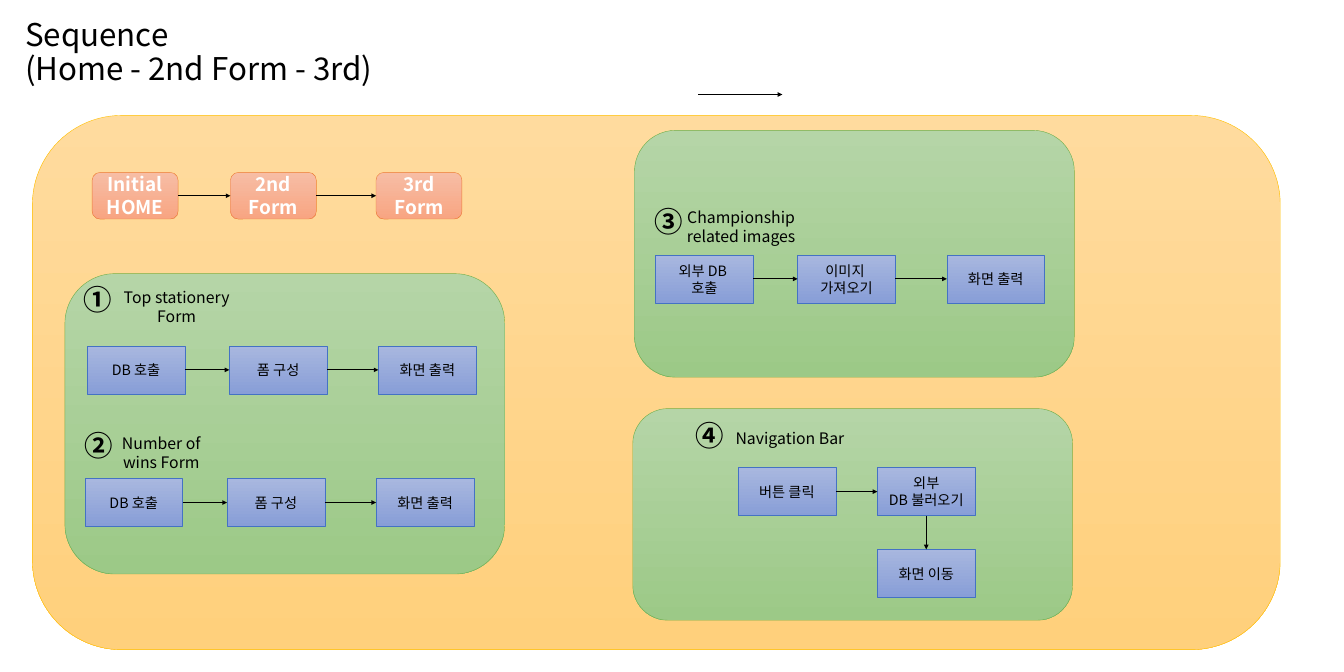
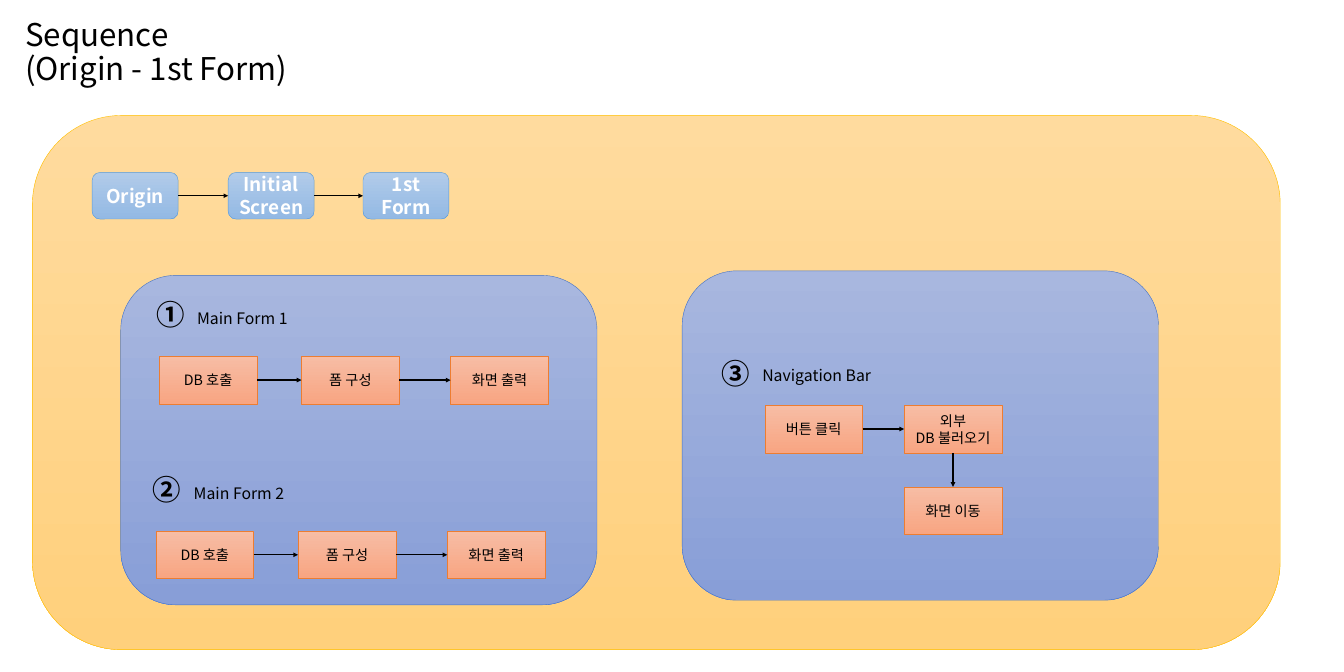
import dataclasses

import lxml.etree
import pptx
import pptx.dml.color
import pptx.enum.shapes
import pptx.enum.text
import pptx.oxml.ns
import pptx.util

SHAPES = pptx.enum.shapes.MSO_SHAPE
ALIGN = pptx.enum.text.PP_ALIGN
ANCHOR = pptx.enum.text.MSO_ANCHOR
TOP, LEFT, BOTTOM, RIGHT = range(4)

# The slide is divided into a grid of square cells
COLUMNS, ROWS = 100, 50
WIDTH, HEIGHT = pptx.util.Inches(23.62), pptx.util.Inches(11.81)


@dataclasses.dataclass(frozen=True)
class Theme:
    """Colours are (gradient top, gradient bottom, outline)."""
    font: str = "Noto Sans CJK KR"
    black: str = "000000"
    white: str = "FFFFFF"
    gold: tuple = ("FFDB9E", "FFD07C", "FFC000")
    orange: tuple = ("F7BDA5", "F8A582", "ED7D31")
    green: tuple = ("B5D5A7", "9CC987", "70AD47")
    indigo: tuple = ("A8B7DF", "889ED7", "4472C4")
    blue: tuple = ("B1CBE9", "93B9E4", "5B9BD5")
    title_size: float = 39.6
    marker_size: float = 36
    stage_size: float = 24
    caption_size: float = 20
    step_size: float = 18
    outline: float = 0.5
    arrow: float = 1.5


# Sizes in columns and rows
STAGE = (6.39, 3.47)
STEP = (7.28, 3.56)
MARKER = (4.06, 2.58)
CAPTION = (8.93, 3.26)
WIDE_CAPTION = (9.86, 1.86)

# Step offsets from the first step of a flow
ROW_FLOW = ((0, 0), (10.58, 0), (21.68, 0))
CORNER_FLOW = ((0, 0), (10.37, 0), (10.37, 6.08))


def rgb(value):
    return pptx.dml.color.RGBColor.from_string(value)


def assign(target, values):
    for name, value in values.items():
        setattr(target, name, value)


def add_xml(parent, tag, **attributes):
    return lxml.etree.SubElement(parent, pptx.oxml.ns.qn(tag), attributes)


class SequenceDeck:
    def __init__(self, theme):
        self.theme = theme
        self.slide = None
        self.presentation = pptx.Presentation()
        assign(self.presentation, {"slide_width": WIDTH, "slide_height": HEIGHT})

    def place(self, column, row, columns=0, rows=0):
        across, down = WIDTH / COLUMNS, HEIGHT / ROWS
        return [round(length) for length in
                (column * across, row * down, columns * across, rows * down)]

    def fill_text(self, shape, text, size, color, bold=False, align=ALIGN.CENTER,
                  frame_format=None, paragraph_format=None):
        frame = shape.text_frame
        assign(frame, {"word_wrap": True, **(frame_format or {})})
        frame.text = text
        for paragraph in frame.paragraphs:
            assign(paragraph, {"alignment": align, **(paragraph_format or {})})
            for run in paragraph.runs:
                assign(run.font, {"size": pptx.util.Pt(size), "bold": bold,
                                  "name": self.theme.font})
                run.font.color.rgb = rgb(color)
        # Hangul and circled numbers take the East Asian font
        for properties in shape.element.iter(pptx.oxml.ns.qn("a:rPr")):
            add_xml(properties, "a:ea", typeface=self.theme.font)

    # Title and the large backdrop shared by the slides
    def start_slide(self, title):
        self.slide = self.presentation.slides.add_slide(
            self.presentation.slide_layouts[5])
        shape = self.slide.shapes.title
        assign(shape, dict(zip(("left", "top", "width", "height"),
                               self.place(1.44, 0.93, 28.03, 6.05))))
        self.fill_text(shape, title, self.theme.title_size, self.theme.black,
                       align=ALIGN.LEFT,
                       frame_format={"vertical_anchor": ANCHOR.MIDDLE,
                                     "auto_size": pptx.enum.text.MSO_AUTO_SIZE.NONE},
                       paragraph_format={"line_spacing": 0.9})
        self.box((2.41, 8.59, 92.85, 39.75), self.theme.gold)

    def box(self, area, colors, rounded=True):
        kind = SHAPES.ROUNDED_RECTANGLE if rounded else SHAPES.RECTANGLE
        shape = self.slide.shapes.add_shape(kind, *self.place(*area))
        shape.shadow.inherit = False
        shape.fill.gradient()
        shape.fill.gradient_angle = 270
        for stop, color in zip(shape.fill.gradient_stops, colors):
            stop.color.rgb = rgb(color)
        shape.line.color.rgb = rgb(colors[2])
        shape.line.width = pptx.util.Pt(self.theme.outline)
        return shape

    def label(self, area, text, size, bold=False, align=ALIGN.CENTER, inset=True):
        shape = self.slide.shapes.add_textbox(*self.place(*area))
        margins = {} if inset else dict.fromkeys(
            ("margin_left", "margin_top", "margin_right", "margin_bottom"), 0)
        self.fill_text(shape, text, size, self.theme.black, bold, align, margins)

    def arrow(self, begin, end):
        points = self.place(*begin)[:2] + self.place(*end)[:2]
        connector = self.slide.shapes.add_connector(
            pptx.enum.shapes.MSO_CONNECTOR.STRAIGHT, *points)
        connector.line.color.rgb = rgb(self.theme.black)
        connector.line.width = pptx.util.Pt(self.theme.arrow)
        properties = connector.element.spPr
        add_xml(properties.find(pptx.oxml.ns.qn("a:ln")), "a:tailEnd", type="triangle")
        add_xml(properties, "a:effectLst")
        return connector

    def join(self, shapes):
        for first, second in zip(shapes, shapes[1:]):
            level = abs(first.top - second.top) < first.height
            sides = (RIGHT, LEFT) if level else (BOTTOM, TOP)
            connector = self.arrow((0, 0), (0, 0))
            connector.begin_connect(first, sides[0])
            connector.end_connect(second, sides[1])

    # Rounded stages along the top
    def stages(self, columns, texts, colors):
        shapes = []
        for column, text in zip(columns, texts):
            shape = self.box((column, 12.83, *STAGE), colors)
            self.fill_text(shape, text, self.theme.stage_size, self.theme.white, True,
                           frame_format={"vertical_anchor": ANCHOR.MIDDLE})
            shapes.append(shape)
        self.join(shapes)

    # Numbered heading above a chain of steps; each offset is from the item before
    def flow(self, origin, marker, marker_offset, caption, caption_offset, texts,
             colors, pattern=ROW_FLOW, caption_size=CAPTION):
        column, row = origin
        marker_column, marker_row = column + marker_offset[0], row + marker_offset[1]
        self.label((marker_column, marker_row, *MARKER), marker,
                   self.theme.marker_size, True, ALIGN.LEFT, inset=False)
        self.label((marker_column + caption_offset[0], marker_row + caption_offset[1],
                    *caption_size), caption, self.theme.caption_size)
        shapes = []
        for (across, down), text in zip(pattern, texts):
            shape = self.box((column + across, row + down, *STEP), colors, False)
            self.fill_text(shape, text, self.theme.step_size, self.theme.black,
                           frame_format={"vertical_anchor": ANCHOR.MIDDLE})
            shapes.append(shape)
        self.join(shapes)

    def navigation(self, origin, marker, colors):
        self.flow(origin, marker, (-3.18, -3.68), "Navigation Bar", (2.12, 0.57),
                  ("버튼 클릭", "외부\nDB 불러오기", "화면 이동"), colors,
                  CORNER_FLOW, WIDE_CAPTION)


def main():
    theme = Theme()
    deck = SequenceDeck(theme)
    form_steps = ("DB 호출", "폼 구성", "화면 출력")
    image_steps = ("외부 DB \n호출", "이미지 \n가져오기", "화면 출력")

    # Home to third form
    deck.start_slide("Sequence \v(Home - 2nd Form - 3rd)")
    deck.stages((6.86, 17.15, 27.98), ("Initial\nHOME", "2nd\nForm", "3rd\nForm"),
                theme.orange)
    deck.arrow((51.95, 7.03), (58.21, 7.03))
    for panel in ((4.83, 20.36, 32.73, 22.35), (47.21, 9.7, 32.73, 18.37),
                  (47.08, 30.4, 32.73, 15.75)):
        deck.box(panel, theme.green)
    for flow in (
        ((6.48, 25.74), "①", (-0.3, -4.74), "Top stationery\nForm", (2.5, 0.21),
         form_steps),
        ((6.31, 35.61), "②", (-0.04, -3.77), "Number of wins Form", (1.27, 0.21),
         form_steps),
        ((48.77, 18.97), "③", (-0.08, -3.77), "Championship related images",
         (1.99, 0.04), image_steps),
    ):
        deck.flow(*flow, theme.indigo)
    deck.navigation((54.91, 34.8), "④", theme.indigo)

    # Origin to first form
    deck.start_slide("Sequence \v(Origin - 1st Form)")
    deck.stages((6.86, 16.98, 27.01), ("Origin", "Initial\nScreen", "1st\nForm"),
                theme.blue)
    for column, row in ((50.76, 20.15), (8.98, 20.49)):
        deck.box((column, row, 35.44, 24.51), theme.indigo)
    for origin, marker, caption in (((11.85, 26.5), "①", "Main Form 1"),
                                    ((11.6, 39.5), "②", "Main Form 2")):
        deck.flow(origin, marker, (-0.23, -4.36), caption, (1.95, 0.64),
                  form_steps, theme.orange)
    deck.navigation((56.9, 30.14), "③", theme.orange)

    deck.presentation.save("out.pptx")


if __name__ == "__main__":
    main()
